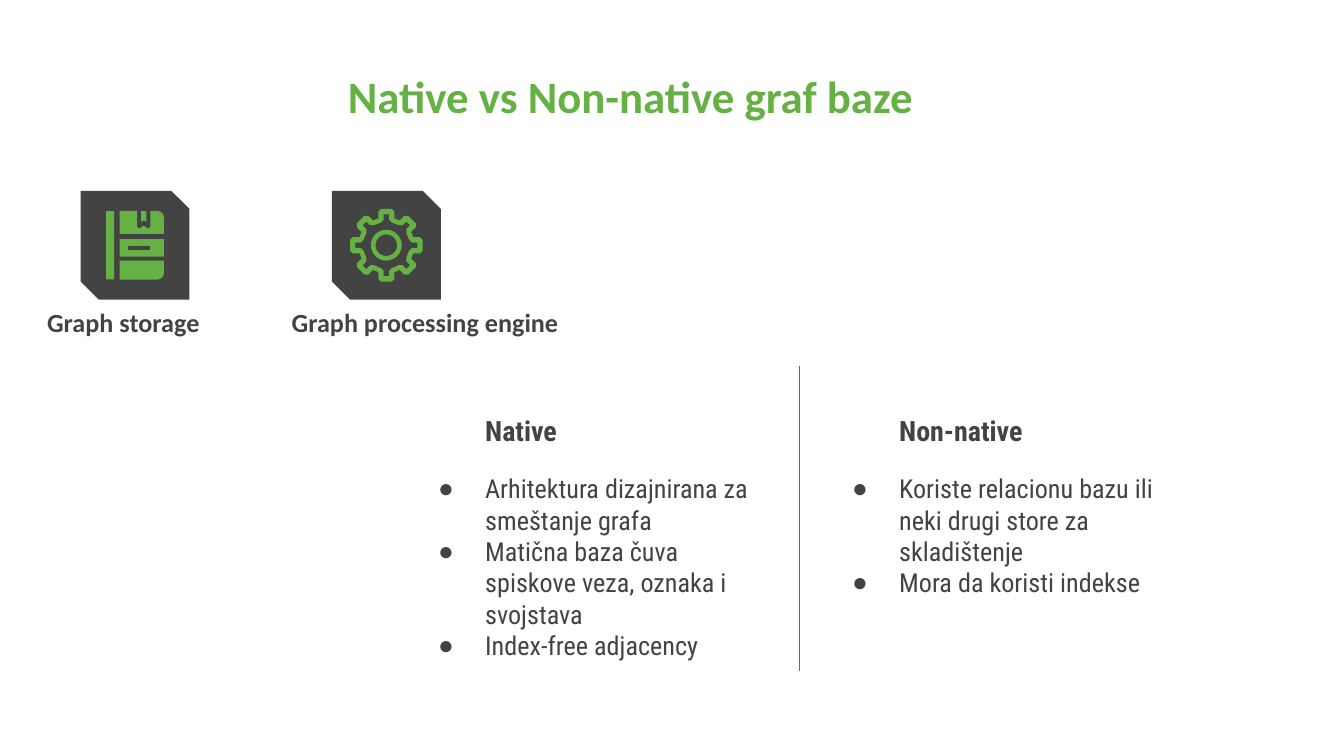
"""Build the slide on native and non-native graph databases."""
import math

from lxml import etree
from pptx import Presentation
from pptx import util as u
from pptx.dml.color import RGBColor
from pptx.enum import shapes, text
from pptx.oxml.ns import qn

GREEN = RGBColor(0x65, 0xB1, 0x44)
DARK = RGBColor(0x43, 0x43, 0x43)
BLUE = RGBColor(0x00, 0x8C, 0xC1)

HEADLINE = "Native vs Non-native graf baze"
PARTS = ["Graph storage", "Graph processing engine"]
KINDS = [
    ("Native", ["Arhitektura dizajnirana za smeštanje grafa",
                "Matična baza čuva spiskove veza, oznaka i svojstava",
                "Index-free adjacency"]),
    ("Non-native", ["Koriste relacionu bazu ili neki drugi store za skladištenje",
                    "Mora da koristi indekse"]),
]

WIDTH = 10
HEIGHT = WIDTH * 9 / 16
HEADLINE_BOX = (1.84, 0.41, 5.7, 1.03)
LABEL_LEFT, LABEL_STEP, LABEL_TOP, LABEL_SIZE = 0.25, 1.82, 2.08, (3.34, 0.53)
TILE_LEFT, TILE_STEP, TILE_TOP, TILE_SIDE = 0.6, 1.87, 1.42, 0.81
KIND_LEFT, KIND_STEP, KIND_TOP, KIND_SIZE = 3.01, 3.08, 2.98, (2.82, 1.38)
DIVIDER_X, DIVIDER_TOP, DIVIDER_BOTTOM = 5.95, 2.72, 4.99

TEETH = 8
TOOTH_OUTSIDE = [(-0.06, 0.2), (-0.06, 0.25), (-0.04, 0.27), (0.04, 0.27), (0.06, 0.25), (0.06, 0.2)]
TOOTH_INSIDE = [(-0.04, 0.17), (-0.02, 0.19), (-0.02, 0.23), (0.02, 0.23), (0.02, 0.19), (0.04, 0.17)]
RING_SIDE = 0.23

BOOK_LEFT, BOOK_RIGHT, BOOK_TOP, BOOK_BOTTOM = 0.89, 1.22, 1.57, 2.08
CORNER = 0.05


def inches(*lengths):
    return [u.Inches(length) for length in lengths]


def paint(shape, color):
    shape.shadow.inherit = False
    shape.fill.solid()
    shape.fill.fore_color.rgb = color
    shape.line.fill.background()
    return shape


def add_block(slide, kind, box, color):
    return paint(slide.shapes.add_shape(kind, *inches(*box)), color)


def add_outline(slide, color, *contours):
    first, *others = [[inches(*point) for point in contour] for contour in contours]
    builder = slide.shapes.build_freeform(*first[0])
    builder.add_line_segments(first[1:], close=True)
    for contour in others:
        builder.move_to(*contour[0])
        builder.add_line_segments(contour[1:], close=True)
    return paint(builder.convert_to_shape(), color)


def place(holder, box, anchor):
    holder.left, holder.top, holder.width, holder.height = inches(*box)
    frame = holder.text_frame
    frame.word_wrap = True
    frame.auto_size = text.MSO_AUTO_SIZE.NONE
    frame.vertical_anchor = anchor
    frame.margin_left = frame.margin_right = frame.margin_top = frame.margin_bottom = u.Inches(0.1)
    return frame


def write(paragraph, words, size, color, font, bold=True, align=text.PP_ALIGN.LEFT,
          margin=0.0, indent=0.0, bullet=None, after=0):
    paragraph.alignment = align
    paragraph.space_before, paragraph.space_after = u.Pt(0), u.Pt(after)
    run = paragraph.add_run()
    run.text = words
    run.font.name, run.font.size, run.font.bold = font, u.Pt(size), bold
    run.font.color.rgb = color
    props = paragraph._p.get_or_add_pPr()
    props.set("marL", str(u.Inches(margin)))
    props.set("indent", str(u.Inches(indent)))
    if bullet:
        etree.SubElement(props, qn("a:buChar")).set("char", bullet)
    else:
        etree.SubElement(props, qn("a:buNone"))


def gear_contour(tooth, center_x, center_y):
    points = []
    for number in range(TEETH):
        turn = math.tau * number / TEETH
        points += [(center_x + x * math.cos(turn) + y * math.sin(turn),
                    center_y + x * math.sin(turn) - y * math.cos(turn)) for x, y in tooth]
    return points


def corner_arc(center_x, center_y, start):
    angles = [math.radians(start + 15 * step) for step in range(7)]
    return [(center_x + CORNER * math.cos(a), center_y + CORNER * math.sin(a)) for a in angles]


def draw_book(slide):
    rectangle = shapes.MSO_SHAPE.RECTANGLE
    page_width = BOOK_RIGHT - BOOK_LEFT
    add_block(slide, rectangle, (0.79, BOOK_TOP, 0.06, BOOK_BOTTOM - BOOK_TOP), GREEN)
    add_outline(slide, GREEN, [
        (BOOK_LEFT, BOOK_TOP), (1.02, BOOK_TOP), (1.02, 1.69), (1.04, 1.7), (1.07, 1.68),
        (1.1, 1.7), (1.12, 1.69), (1.12, BOOK_TOP),
        *corner_arc(BOOK_RIGHT - CORNER, BOOK_TOP + CORNER, -90),
        (BOOK_RIGHT, 1.74), (BOOK_LEFT, 1.74)])
    add_outline(slide, GREEN, [(1.05, BOOK_TOP), (1.05, 1.65), (1.07, 1.64), (1.09, 1.65), (1.09, BOOK_TOP)])
    add_block(slide, rectangle, (BOOK_LEFT, 1.78, page_width, 0.13), GREEN)
    slot = add_block(slide, shapes.MSO_SHAPE.ROUNDED_RECTANGLE, (0.95, 1.83, 0.17, 0.03), DARK)
    slot.adjustments[0] = 0.5
    add_outline(slide, GREEN, [
        (BOOK_LEFT, 1.94), (BOOK_RIGHT, 1.94),
        *corner_arc(BOOK_RIGHT - CORNER, BOOK_BOTTOM - CORNER, 0), (BOOK_LEFT, BOOK_BOTTOM)])


def draw_gear(slide):
    center_x = TILE_LEFT + TILE_STEP + TILE_SIDE / 2
    center_y = TILE_TOP + TILE_SIDE / 2
    add_outline(slide, GREEN, *[gear_contour(tooth, center_x, center_y)
                                for tooth in (TOOTH_OUTSIDE, TOOTH_INSIDE)])
    ring = add_block(slide, shapes.MSO_SHAPE.DONUT,
                     (center_x - RING_SIDE / 2, center_y - RING_SIDE / 2, RING_SIDE, RING_SIDE), GREEN)
    ring.adjustments[0] = 0.15


def draw_divider(slide):
    divider = slide.shapes.add_connector(
        shapes.MSO_CONNECTOR.STRAIGHT, *inches(DIVIDER_X, DIVIDER_TOP, DIVIDER_X, DIVIDER_BOTTOM))
    divider.line.width = u.Pt(0.75)
    divider.line.fill.solid()
    divider.line.fill.fore_color.rgb = BLUE
    etree.SubElement(divider._element.spPr, qn("a:effectLst"))
    divider._element.remove(divider._element.find(qn("p:style")))


def main():
    deck = Presentation()
    deck.slide_width, deck.slide_height = inches(WIDTH, HEIGHT)
    slide = deck.slides.add_slide(deck.slide_layouts.get_by_name("Comparison"))
    headline, *holders = slide.placeholders

    frame = place(headline, HEADLINE_BOX, text.MSO_ANCHOR.TOP)
    write(frame.paragraphs[0], HEADLINE, 24, GREEN, "Calibri", align=text.PP_ALIGN.CENTER)

    for column, (part, holder) in enumerate(zip(PARTS, holders[::2])):
        box = (LABEL_LEFT + column * LABEL_STEP, LABEL_TOP, *LABEL_SIZE)
        write(place(holder, box, text.MSO_ANCHOR.BOTTOM).paragraphs[0], part, 14, DARK, "Calibri")
        add_block(slide, shapes.MSO_SHAPE.SNIP_2_DIAG_RECTANGLE,
                  (TILE_LEFT + column * TILE_STEP, TILE_TOP, TILE_SIDE, TILE_SIDE), DARK)

    for column, ((kind, traits), holder) in enumerate(zip(KINDS, holders[1::2])):
        box = (KIND_LEFT + column * KIND_STEP, KIND_TOP, *KIND_SIZE)
        frame = place(holder, box, text.MSO_ANCHOR.TOP)
        write(frame.paragraphs[0], kind, 15, DARK, "Roboto Condensed", margin=0.5, after=13.5)
        for trait in traits:
            write(frame.add_paragraph(), trait, 14, DARK, "Roboto Condensed", bold=False,
                  margin=0.5, indent=-0.35, bullet="●")

    draw_divider(slide)
    draw_book(slide)
    draw_gear(slide)
    deck.save("out.pptx")


if __name__ == "__main__":
    main()
